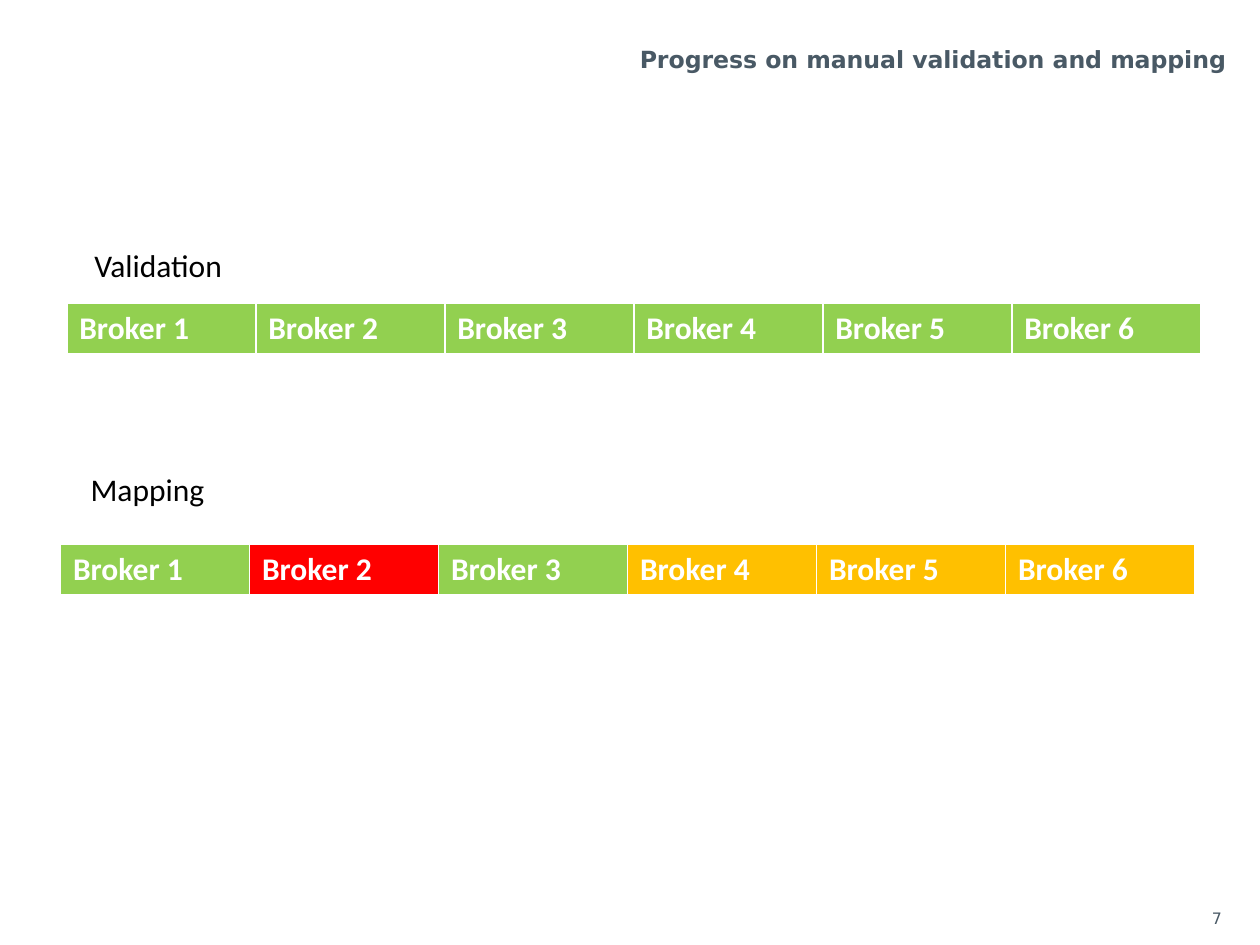
from lxml import etree
from pptx import Presentation
from pptx.dml.color import RGBColor
from pptx.enum.text import MSO_ANCHOR, PP_ALIGN
from pptx.oxml.ns import qn
from pptx.util import Inches, Pt

LEFT, RIGHT = PP_ALIGN.LEFT, PP_ALIGN.RIGHT
MIDDLE = MSO_ANCHOR.MIDDLE
HEADING_FONT, BODY_FONT = "DejaVu Sans", "Calibri"
WHITE, BLACK, SLATE = "FFFFFF", "000000", "495965"
GREEN, RED, AMBER = "92D050", "FF0000", "FFC000"
BORDERS = {"a:lnL": 1, "a:lnR": 1, "a:lnT": 1, "a:lnB": 3}


def rgb(color):
    return RGBColor.from_string(color)


def add_run(p, text, size, font, color, bold=False):
    r = p.add_run()
    r.text = text
    r.font.size = Pt(size)
    r.font.name = font
    r.font.bold = bold
    r.font.color.rgb = rgb(color)


def add_text(slide, box, text, size, font, color, bold=False, align=LEFT):
    sp = slide.shapes.add_textbox(*map(Inches, box))
    tf = sp.text_frame
    tf.word_wrap = True
    tf.vertical_anchor = MIDDLE
    p = tf.paragraphs[0]
    p.alignment = align
    add_run(p, text, size, font, color, bold)


def set_borders(cell, color):
    tcPr = cell._tc.get_or_add_tcPr()
    for tag, width in BORDERS.items():
        ln = etree.SubElement(tcPr, qn(tag), w=str(Pt(width)))
        fill = etree.SubElement(ln, qn("a:solidFill"))
        etree.SubElement(fill, qn("a:srgbClr"), val=color)


def add_broker_row(slide, box, colors):
    left, top, width, height = map(Inches, box)
    table = slide.shapes.add_table(1, len(colors), left, top, width, height).table
    for i, color in enumerate(colors):
        cell = table.cell(0, i)
        set_borders(cell, WHITE)
        cell.fill.solid()
        cell.fill.fore_color.rgb = rgb(color)
        add_run(cell.text_frame.paragraphs[0], f"Broker {i + 1}", 18, BODY_FONT, WHITE, True)


def add_stage(slide, label_box, row_box, label, colors):
    add_text(slide, label_box, label, 18, BODY_FONT, BLACK)
    add_broker_row(slide, row_box, colors)


def main():
    prs = Presentation()
    prs.slide_width, prs.slide_height = Inches(10), Inches(7.5)
    slide = prs.slides.add_slide(prs.slide_layouts[6])
    add_text(slide, (3.27, 0.31, 6.56, 0.31), "Progress on manual validation and mapping",
             13.5, HEADING_FONT, SLATE, True, RIGHT)
    add_text(slide, (9.52, 7.14, 2.33, 0.29), "7", 9, HEADING_FONT, SLATE)
    add_stage(slide, (0.65, 1.9, 4.41, 0.4), (0.53, 2.41, 9, 0.41), "Validation", [GREEN] * 6)
    add_stage(slide, (0.62, 3.68, 4.41, 0.4), (0.48, 4.32, 9, 0.41), "Mapping",
              [GREEN, RED, GREEN] + [AMBER] * 3)
    prs.save("out.pptx")


if __name__ == "__main__":
    main()
